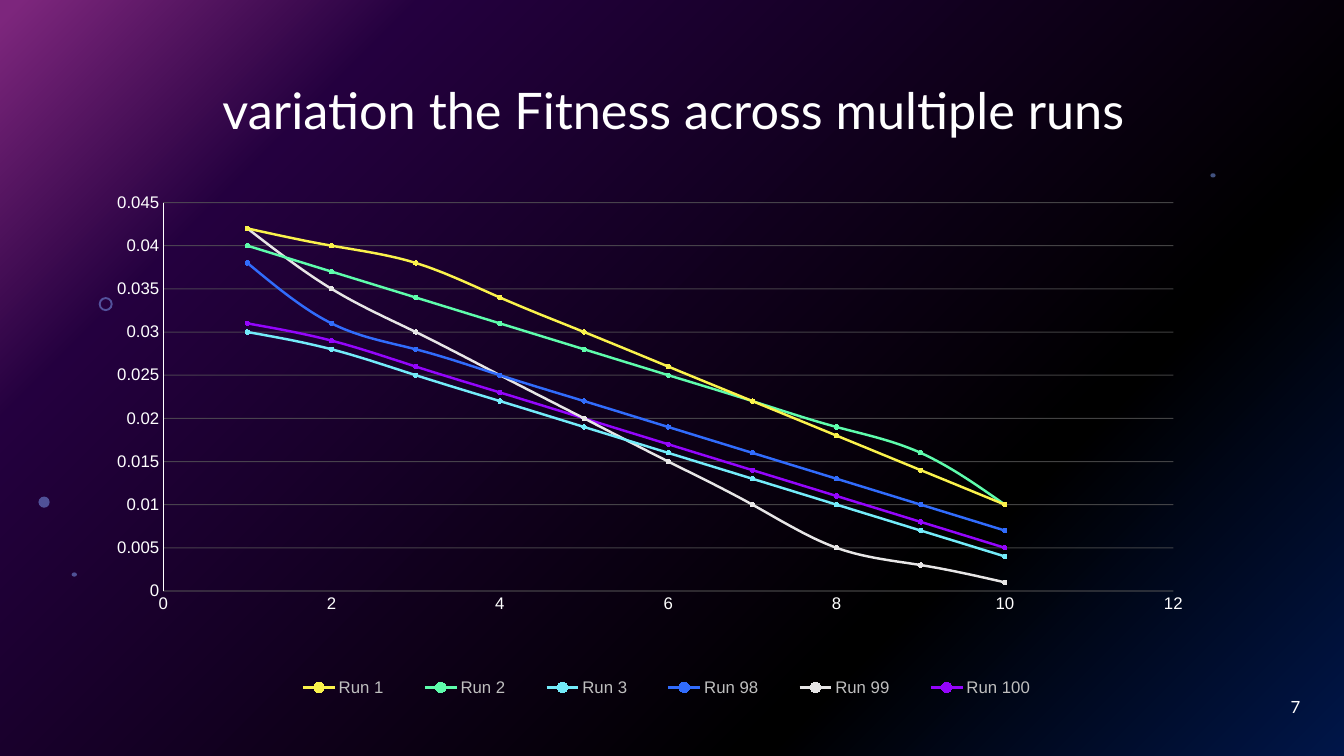
from lxml import etree
from pptx import Presentation
from pptx import util as u
from pptx.chart import data
from pptx.dml import color
from pptx.enum import chart as ch, shapes, text
from pptx.oxml import ns, parse_xml


def rgb(hex_code):
    return color.RGBColor.from_string(hex_code)


def write(frame, content, size=12, font="Lato", colour="FFFFFF", align="ctr", spacing=1.0):
    frame.word_wrap = True
    frame.vertical_anchor = text.MSO_ANCHOR.MIDDLE
    paragraph = frame.paragraphs[0]
    paragraph.alignment = text.PP_ALIGN.from_xml(align)
    paragraph.line_spacing = spacing
    run = paragraph.add_run()
    run.text = content
    run.font.size = u.Pt(size)
    run.font.name = font
    run.font.color.rgb = rgb(colour)


prs = Presentation()
prs.slide_width, prs.slide_height = u.Pt(960), u.Pt(540)
slide = prs.slides.add_slide(prs.slide_layouts[5])

backdrop = slide.background.fill
backdrop.gradient()
gradient = slide.background._cSld.find(".//" + ns.qn("a:gradFill"))
glow = [(0, "022D94"), (28, "000000"), (80, "4A027F"), (99, "FC4EFB")]
stops = "".join(
    f'<a:gs pos="{place * 1000}"><a:srgbClr val="{hue}"/></a:gs>' for place, hue in glow
)
gradient.getparent().replace(gradient, parse_xml(
    f'<a:gradFill {ns.nsdecls("a")} rotWithShape="1"><a:gsLst>{stops}</a:gsLst>'
    '<a:path path="circle"><a:fillToRect l="100000" t="100000"/></a:path></a:gradFill>'
))

decorations = [
    (shapes.MSO_SHAPE.RECTANGLE, 0, 0, 960, 540, "000000", 50),
    (shapes.MSO_SHAPE.DONUT, 70.5, 212.2, 10, 10, "83A7FD", 49),
    (shapes.MSO_SHAPE.OVAL, 27.5, 354.7, 8, 8, "83A7FD", 49),
    (shapes.MSO_SHAPE.OVAL, 51.2, 408.9, 3.7, 3, "83A7FD", 49),
    (shapes.MSO_SHAPE.OVAL, 864.6, 123.8, 3.7, 3, "83A7FD", 49),
]
for kind, left, top, width, height, hue, opacity in decorations:
    decoration = slide.shapes.add_shape(kind, u.Pt(left), u.Pt(top), u.Pt(width), u.Pt(height))
    decoration.shadow.inherit = False
    decoration.fill.solid()
    decoration.fill.fore_color.rgb = rgb(hue)
    decoration.line.fill.background()
    if kind == shapes.MSO_SHAPE.DONUT:
        decoration.adjustments[0] = 0.14
    tint = decoration._element.spPr.find(".//" + ns.qn("a:srgbClr"))
    etree.SubElement(tint, ns.qn("a:alpha")).set("val", str(opacity * 1000))

runs = [
    ("Run 1", "FAF24C", "FCF794", [0.042, 0.04, 0.038, 0.034, 0.03, 0.026, 0.022, 0.018, 0.014, 0.01]),
    ("Run 2", "5EFCAC", "9EFDCD", [0.04, 0.037, 0.034, 0.031, 0.028, 0.025, 0.022, 0.019, 0.016, 0.01]),
    ("Run 3", "73EBF9", "ABF3FB", [0.03, 0.028, 0.025, 0.022, 0.019, 0.016, 0.013, 0.01, 0.007, 0.004]),
    ("Run 98", "316CFC", "83A7FD", [0.038, 0.031, 0.028, 0.025, 0.022, 0.019, 0.016, 0.013, 0.01, 0.007]),
    ("Run 99", "E7E6E6", "D09BFE", [0.042, 0.035, 0.03, 0.025, 0.02, 0.015, 0.01, 0.005, 0.003, 0.001]),
    ("Run 100", "9405FC", "BF69FD", [0.031, 0.029, 0.026, 0.023, 0.02, 0.017, 0.014, 0.011, 0.008, 0.005]),
]
fitness = data.XyChartData()
for name, hue, dot, values in runs:
    points = fitness.add_series(name)
    for generation, value in enumerate(values, 1):
        points.add_data_point(generation, value)

chart = slide.shapes.add_chart(
    ch.XL_CHART_TYPE.XY_SCATTER_SMOOTH,
    u.Pt(67), u.Pt(132.5), u.Pt(826.5), u.Pt(407.5), fitness,
).chart
chart.has_title = False
chart.font.size = u.Pt(10)
chart.font.name = "Arial"
chart.font.color.rgb = rgb("000000")
chart.plots[0].vary_by_categories = False

for curve, (name, hue, dot, values) in zip(chart.plots[0].series, runs):
    curve.format.line.color.rgb = rgb(hue)
    curve.format.line.width = u.Pt(1.75)
    curve.marker.style = ch.XL_MARKER_STYLE.CIRCLE
    curve.marker.size = 3
    curve.marker.format.fill.solid()
    curve.marker.format.fill.fore_color.rgb = rgb(dot)
    curve.marker.format.line.color.rgb = rgb(hue)
    curve._element.find(ns.qn("c:smooth")).set("val", "1")

for axis, highest, step in [(chart.category_axis, 12, 2), (chart.value_axis, 0.045, 0.005)]:
    axis.minimum_scale, axis.maximum_scale, axis.major_unit = 0, highest, step
    axis.major_tick_mark = axis.minor_tick_mark = ch.XL_TICK_MARK.NONE
    axis.has_major_gridlines = axis.has_minor_gridlines = False
    axis.tick_labels.number_format = "General"
    axis.tick_labels.number_format_is_linked = False
    axis.tick_labels.font.size = u.Pt(12)
    axis.tick_labels.font.name = "Arial"
    axis.tick_labels.font.color.rgb = rgb("FFFFFF")
chart.category_axis.format.line.fill.background()
chart.value_axis.format.line.color.rgb = rgb("FFFFFF")
chart.value_axis.format.line.width = u.Pt(0.75)
chart.value_axis.has_major_gridlines = True
grid = chart.value_axis.major_gridlines.format.line
grid.color.rgb = rgb("595959")
grid.width = u.Pt(0.75)
grid_tint = chart._chartSpace.find(".//" + ns.qn("c:majorGridlines")).find(".//" + ns.qn("a:srgbClr"))
etree.SubElement(grid_tint, ns.qn("a:alpha")).set("val", "75000")

chart.has_legend = True
chart.legend.position = ch.XL_LEGEND_POSITION.BOTTOM
chart.legend.include_in_layout = False
chart.legend.font.size = u.Pt(12)
chart.legend.font.name = "Arial"
chart.legend.font.color.rgb = rgb("BFBFBF")

placements = [
    ("c:plotArea", 0, '<c:layoutTarget val="inner"/>', (0.06, 0.03, 0.873, 0.681)),
    ("c:legend", 1, "", (0.15, 0.85, 0.69, 0.06)),
]
for tag, index, target, box in placements:
    area = chart._chartSpace.find(".//" + ns.qn(tag))
    for automatic in area.findall(ns.qn("c:layout")):
        area.remove(automatic)
    sides = "".join(f'<c:{side} val="{share}"/>' for side, share in zip("xywh", box))
    area.insert(index, parse_xml(
        f'<c:layout {ns.nsdecls("c")}><c:manualLayout>{target}'
        f'<c:xMode val="edge"/><c:yMode val="edge"/>{sides}</c:manualLayout></c:layout>'
    ))

heading = slide.shapes.title
heading.left, heading.top, heading.width, heading.height = u.Pt(67), u.Pt(28.8), u.Pt(828), u.Pt(104.4)
write(heading.text_frame, "variation the Fitness across multiple runs", size=36, spacing=0.9)
slide.shapes._spTree.append(heading._element)

page_number = slide.shapes.add_textbox(u.Pt(720), u.Pt(490.5), u.Pt(216), u.Pt(28.8))
write(page_number.text_frame, "7", align="r")

prs.save("out.pptx")
